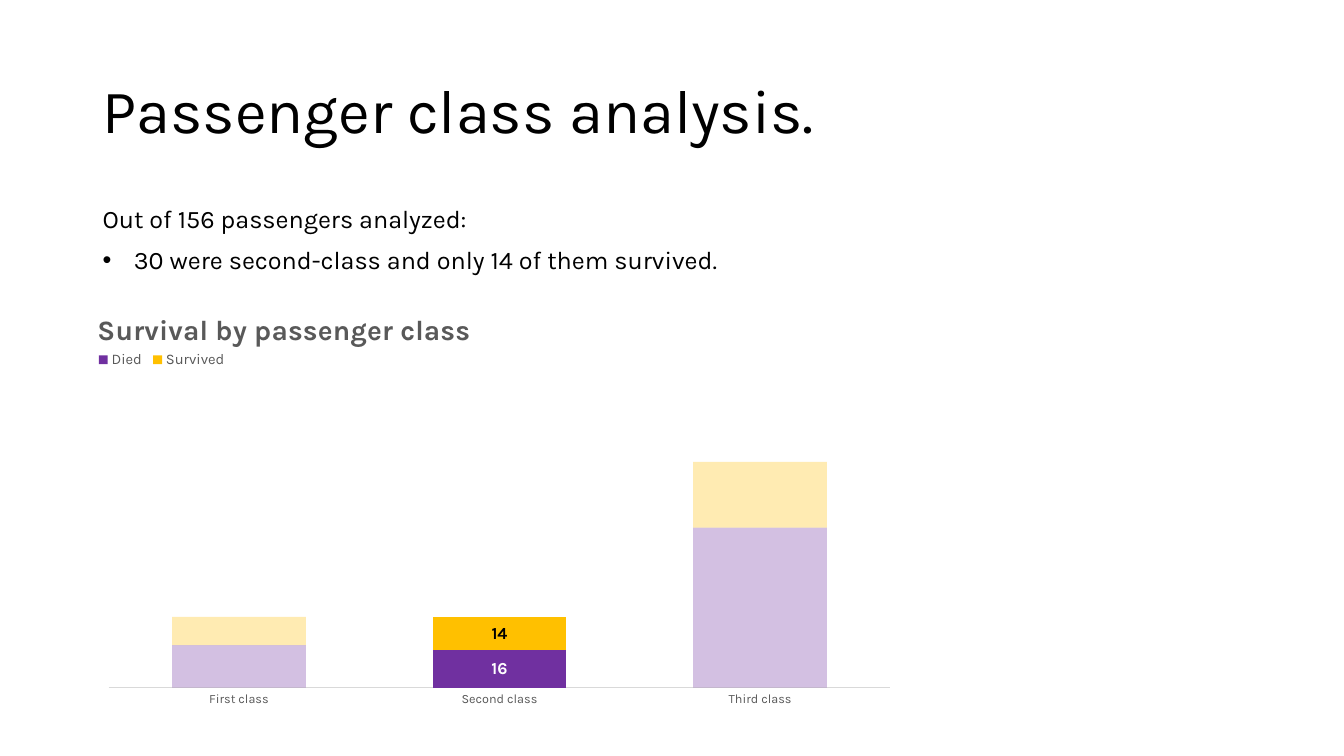
from lxml import etree
from pptx import Presentation
from pptx.chart.data import CategoryChartData
from pptx.dml.color import RGBColor
from pptx.enum.chart import XL_CHART_TYPE, XL_LEGEND_POSITION, XL_TICK_MARK
from pptx.enum.text import MSO_ANCHOR, MSO_AUTO_SIZE, PP_ALIGN
from pptx.oxml.ns import qn
from pptx.util import Cm, Pt

STACKED = XL_CHART_TYPE.COLUMN_STACKED
LEGEND_TOP = XL_LEGEND_POSITION.TOP
NO_TICK = XL_TICK_MARK.NONE
LEFT = PP_ALIGN.LEFT
TOP, MIDDLE = MSO_ANCHOR.TOP, MSO_ANCHOR.MIDDLE
NO_AUTOFIT = MSO_AUTO_SIZE.NONE

FONT = "Karla"
BLACK = RGBColor(0x00, 0x00, 0x00)
WHITE = RGBColor(0xFF, 0xFF, 0xFF)
GRAY = RGBColor(0x59, 0x59, 0x59)
AXIS_GRAY = RGBColor(0xD9, 0xD9, 0xD9)
PURPLE = RGBColor(0x70, 0x30, 0xA0)
GOLD = RGBColor(0xFF, 0xC0, 0x00)

CLASSES = ("First class", "Second class", "Third class")
# name, passengers per class, fill, label colour
OUTCOMES = (
    ("Died", (18, 16, 68), PURPLE, WHITE),
    ("Survived", (12, 14, 28), GOLD, BLACK),
)
FADED_CLASSES = (0, 2)
FADED_ALPHA = 30000

TITLE_BOX = (Cm(2.33), Cm(1.01), Cm(29.21), Cm(3.68))
BODY_BOX = (Cm(2.33), Cm(5.07), Cm(29.21), Cm(12.09))
CHART_BOX = (Cm(2.33), Cm(7.6), Cm(20.52), Cm(10.46))


def set_font(font, size, color, bold=False):
    font.name = FONT
    font.size = Pt(size)
    font.bold = bold
    font.color.rgb = color


def place(shape, box):
    shape.left, shape.top, shape.width, shape.height = box


def fill_title(shape, box, text):
    place(shape, box)
    frame = shape.text_frame
    frame.text = text
    frame.auto_size = NO_AUTOFIT
    frame.vertical_anchor = MIDDLE
    para = frame.paragraphs[0]
    para.alignment = LEFT
    para.line_spacing = 0.9
    set_font(para.font, 44, BLACK)


def set_bullet(para, char, indent):
    """Give the paragraph a hanging bullet, or none when char is empty."""
    properties = para._p.get_or_add_pPr()
    properties.set("marL", str(indent))
    properties.set("indent", str(-indent))
    if char:
        etree.SubElement(properties, qn("a:buFont"), typeface="Arial")
        etree.SubElement(properties, qn("a:buChar"), char=char)
    else:
        etree.SubElement(properties, qn("a:buNone"))


def fill_body(shape, box, lines):
    """Write (text, bullet, indent) lines into the body placeholder."""
    place(shape, box)
    frame = shape.text_frame
    frame.text = "\n".join(text for text, _, _ in lines)
    frame.auto_size = NO_AUTOFIT
    frame.vertical_anchor = TOP
    for para, (_, bullet, indent) in zip(frame.paragraphs, lines):
        para.line_spacing = 0.9
        para.space_before = Pt(10)
        set_bullet(para, bullet, indent)
        set_font(para.font, 18, BLACK)


def set_layout(element, index, **fractions):
    """Place a chart part by fractions of the chart's width and height."""
    for old in element.findall(qn("c:layout")):
        element.remove(old)
    layout = etree.Element(qn("c:layout"))
    manual = etree.SubElement(layout, qn("c:manualLayout"))
    if element.tag == qn("c:plotArea"):
        etree.SubElement(manual, qn("c:layoutTarget"), val="inner")
    for mode in ("xMode", "yMode"):
        etree.SubElement(manual, qn(f"c:{mode}"), val="edge")
    for name, value in fractions.items():
        etree.SubElement(manual, qn(f"c:{name}"), val=str(value))
    element.insert(index, layout)


def style_series(series, color, label_color):
    """Colour the series, fading and unlabelling all but the second class."""
    series.invert_if_negative = False
    series.format.fill.solid()
    series.format.fill.fore_color.rgb = color
    labels = series.data_labels
    labels.show_value = True
    set_font(labels.font, 12, label_color, bold=True)
    for position, point in enumerate(FADED_CLASSES):
        fill = series.points[point].format.fill
        fill.solid()
        fill.fore_color.rgb = color
        hidden = etree.Element(qn("c:dLbl"))
        etree.SubElement(hidden, qn("c:idx"), val=str(point))
        etree.SubElement(hidden, qn("c:delete"), val="1")
        labels._element.insert(position, hidden)
    for faded in series._element.xpath("./c:dPt//a:srgbClr"):
        etree.SubElement(faded, qn("a:alpha"), val=str(FADED_ALPHA))


def style_axes(chart):
    classes, passengers = chart.category_axis, chart.value_axis
    classes.major_tick_mark = classes.minor_tick_mark = NO_TICK
    classes.format.line.color.rgb = AXIS_GRAY
    classes.format.line.width = Pt(0.75)
    set_font(classes.tick_labels.font, 9, GRAY)
    passengers.minimum_scale, passengers.maximum_scale = 0, 120
    passengers.has_major_gridlines = False
    passengers.visible = False


def add_survival_chart(page, box):
    data = CategoryChartData()
    data.categories = CLASSES
    for name, counts, _, _ in OUTCOMES:
        data.add_series(name, counts)
    chart = page.shapes.add_chart(STACKED, *box, data).chart
    set_font(chart.font, 10, BLACK)

    heading = chart.chart_title
    heading.text_frame.text = "Survival by passenger class"
    set_font(heading.text_frame.paragraphs[0].font, 20, GRAY, bold=True)
    set_layout(heading._element, 1, x=0.0, y=0.01)

    chart.has_legend = True
    chart.legend.position = LEGEND_TOP
    chart.legend.include_in_layout = False
    set_font(chart.legend.font, 10.5, GRAY)
    set_layout(chart.legend._element, 1, x=0.0, y=0.11, w=0.17, h=0.06)

    plot = chart.plots[0]
    plot.gap_width = 95
    plot.overlap = 100
    plot.vary_by_categories = False
    for series, (_, _, color, label_color) in zip(plot.series, OUTCOMES):
        style_series(series, color, label_color)
    style_axes(chart)
    plot_area = chart._chartSpace.chart.plotArea
    set_layout(plot_area, 0, x=0.02, y=0.25, w=0.96, h=0.68)


def main():
    deck = Presentation()
    deck.slide_width, deck.slide_height = Cm(33.87), Cm(19.05)
    page = deck.slides.add_slide(deck.slide_layouts[1])
    fill_title(page.shapes.title, TITLE_BOX, "Passenger class analysis.")
    fill_body(page.placeholders[1], BODY_BOX, (
        ("Out of 156 passengers analyzed:", "", 0),
        (" 30 were second-class and only 14 of them survived.", "•", Cm(0.64)),
    ))
    add_survival_chart(page, CHART_BOX)
    deck.save("out.pptx")


if __name__ == "__main__":
    main()
